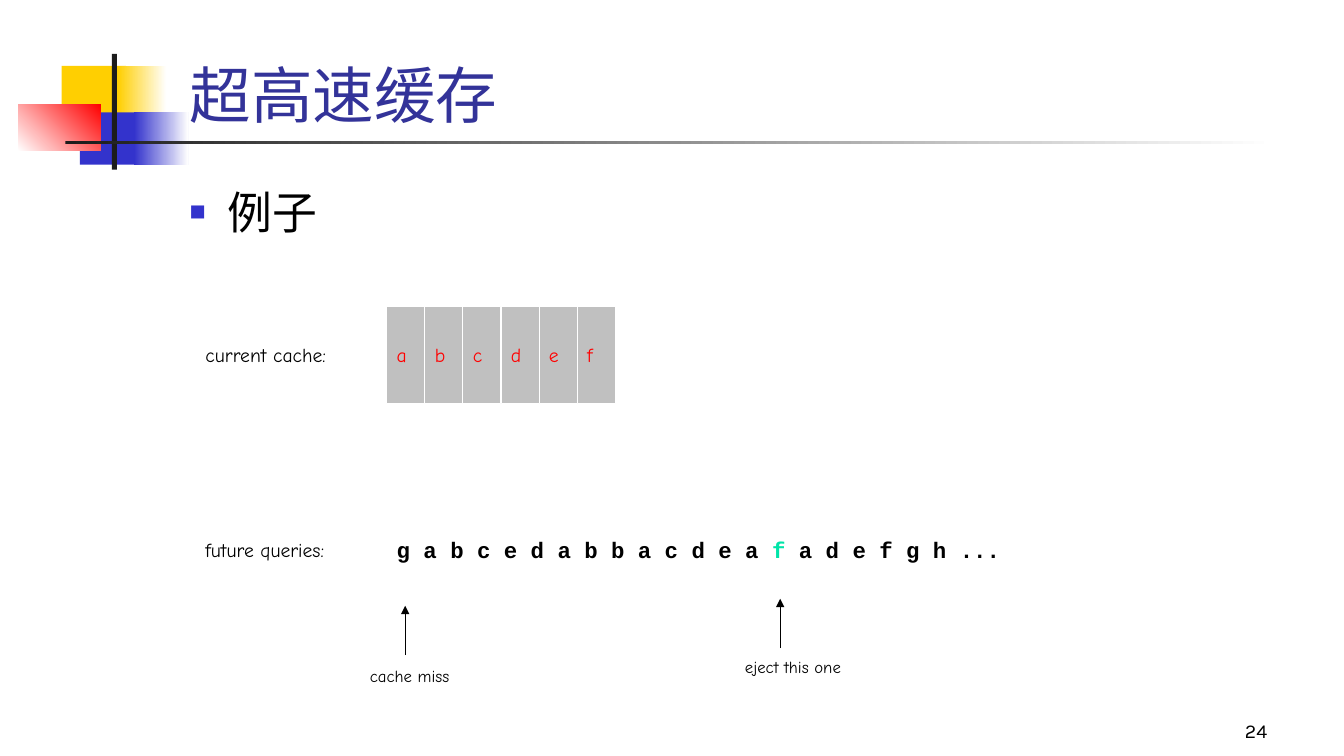
"""Build the cache eviction example slide."""
from dataclasses import dataclass
from typing import Any, Optional

from lxml.etree import SubElement
from pptx import Presentation
from pptx.dml.color import RGBColor
from pptx.enum.shapes import MSO_CONNECTOR as Connector, MSO_SHAPE as Preset
from pptx.enum.text import MSO_ANCHOR as Anchor, MSO_AUTO_SIZE as AutoSize, PP_ALIGN as Align
from pptx.oxml.ns import qn
from pptx.util import Pt

COLORS = {
    "yellow": "FFCF01", "blue": "3333CC", "red": "FF0000", "dark": "1C1C1C",
    "white": "FFFFFF", "title": "333399", "black": "000000",
    "cell": "C0C0C0", "green": "00E4A8",
}
HEADING_FONT, LABEL_FONT, CODE_FONT = "Karla", "Comic Neue", "Courier New"
BOX_FRAME = {
    "word_wrap": False, "vertical_anchor": Anchor.MIDDLE,
    "margin_left": Pt(7.2), "margin_right": Pt(7.2),
    "margin_top": Pt(3.6), "margin_bottom": Pt(3.6),
}
CAPTION_FRAME = {
    "word_wrap": False, "auto_size": AutoSize.SHAPE_TO_FIT_TEXT,
    "margin_left": 0, "margin_right": 0, "margin_top": 0, "margin_bottom": 0,
}
CACHE_LEFT, CACHE_TOP, QUERY_TOP = 276.3, 218.9, 357.8
CELL_WIDTH, ROW_HEIGHT, ARROW_LENGTH = 27.2, 69.4, 35.3


@dataclass(frozen=True)
class Area:
    left: float
    top: float
    width: float
    height: float

    def lengths(self) -> list[Pt]:
        return [Pt(value) for value in (self.left, self.top, self.width, self.height)]


@dataclass(frozen=True)
class Ornament:
    area: Area
    start: str
    end: Optional[str] = None
    angle: float = 0


@dataclass(frozen=True)
class Piece:
    text: str
    size: float
    font: str = LABEL_FONT
    color: str = "black"
    bold: bool = False


@dataclass(frozen=True)
class Box:
    area: Area
    pieces: list[Piece]
    fill: Optional[str] = None


@dataclass(frozen=True)
class Pointer:
    x: float
    tip: float
    area: Area
    caption: str


ORNAMENTS = [
    Ornament(Area(44, 47, 46, 37.4), "yellow"),
    Ornament(Area(84.2, 47, 34.6, 37.4), "yellow", "white"),
    Ornament(Area(57, 80.2, 44.6, 37.4), "blue"),
    Ornament(Area(95.8, 80.2, 38.9, 37.4), "blue", "white"),
    Ornament(Area(13, 74.4, 59, 33.1), "white", "red", 45),
    Ornament(Area(80, 38.4, 3.5, 82.8), "dark"),
    Ornament(Area(46.8, 101, 864, 2.2), "dark", "white"),
]
QUERIES = [
    Piece("g a b c e d a b b a c d e a ", 16, CODE_FONT, bold=True),
    Piece("f", 16, CODE_FONT, "green", True),
    Piece(" a d e f g h ...", 16, CODE_FONT, bold=True),
]
BOXES = [
    *(Box(Area(CACHE_LEFT + index * CELL_WIDTH, CACHE_TOP, CELL_WIDTH, ROW_HEIGHT),
          [Piece(letter, 14, color="red")], "cell")
      for index, letter in enumerate("abcdef")),
    Box(Area(CACHE_LEFT, QUERY_TOP, 538.6, ROW_HEIGHT), QUERIES),
    *(Box(Area(139.7, top, 115.9, ROW_HEIGHT), [Piece(label, 14)])
      for label, top in (("current cache:", CACHE_TOP), ("future queries:", QUERY_TOP))),
]
POINTERS = [
    Pointer(289.4, 432.7, Area(264.2, 475.2, 59.8, 14.4), "cache miss"),
    Pointer(557.3, 427.7, Area(532.1, 469.4, 77.8, 14.4), "eject this one"),
]


def rgb(name: str) -> RGBColor:
    return RGBColor.from_string(COLORS[name])


def apply(target: Any, values: dict[str, Any]) -> None:
    for name, value in values.items():
        setattr(target, name, value)


def write(shape: Any, pieces: list[Piece], frame: dict[str, Any], align: Align = Align.LEFT) -> None:
    apply(shape.text_frame, frame)
    paragraph = shape.text_frame.paragraphs[0]
    apply(paragraph, {"alignment": align, "space_before": Pt(0)})
    for piece in pieces:
        run = paragraph.add_run()
        run.text = piece.text
        apply(run.font, {"size": Pt(piece.size), "name": piece.font, "bold": piece.bold})
        run.font.color.rgb = rgb(piece.color)


def place(shape: Any, area: Area) -> None:
    apply(shape, dict(zip(("left", "top", "width", "height"), area.lengths())))


def draw_ornament(slide: Any, ornament: Ornament) -> None:
    shape = slide.shapes.add_shape(Preset.RECTANGLE, *ornament.area.lengths())
    shape.shadow.inherit = False
    shape.line.fill.background()
    if ornament.end is None:
        shape.fill.solid()
        shape.fill.fore_color.rgb = rgb(ornament.start)
        return
    shape.fill.gradient()
    shape.fill.gradient_angle = ornament.angle
    for stop, color in zip(shape.fill.gradient_stops, (ornament.start, ornament.end)):
        stop.color.rgb = rgb(color)


def draw_box(slide: Any, box: Box) -> None:
    shape = slide.shapes.add_shape(Preset.RECTANGLE, *box.area.lengths())
    shape.shadow.inherit = False
    if box.fill:
        shape.fill.solid()
        shape.fill.fore_color.rgb = rgb(box.fill)
    else:
        shape.fill.background()
    shape.line.color.rgb = rgb("white")
    shape.line.width = Pt(0.75)
    write(shape, box.pieces, BOX_FRAME)


def draw_pointer(slide: Any, pointer: Pointer) -> None:
    caption = slide.shapes.add_textbox(*pointer.area.lengths())
    write(caption, [Piece(pointer.caption, 12)], CAPTION_FRAME)
    x, tip = Pt(pointer.x), Pt(pointer.tip)
    arrow = slide.shapes.add_connector(Connector.STRAIGHT, x, tip + Pt(ARROW_LENGTH), x, tip)
    arrow.line.color.rgb = rgb("black")
    arrow.line.width = Pt(0.75)
    SubElement(arrow.line._get_or_add_ln(), qn("a:tailEnd"), type="triangle")
    SubElement(arrow._element.spPr, qn("a:effectLst"))


def add_bullet(paragraph: Any) -> None:
    properties = paragraph._p.get_or_add_pPr()
    properties.set("marL", str(int(Pt(27))))
    properties.set("indent", str(-int(Pt(27))))
    SubElement(SubElement(properties, qn("a:buClr")), qn("a:srgbClr"), val=COLORS["blue"])
    SubElement(properties, qn("a:buSzPct"), val="60000")
    SubElement(properties, qn("a:buChar"), char="■")


def main() -> None:
    presentation = Presentation()
    apply(presentation, {"slide_width": Pt(960), "slide_height": Pt(540)})
    slide = presentation.slides.add_slide(presentation.slide_layouts[1])
    for ornament in ORNAMENTS:
        draw_ornament(slide, ornament)

    title, body = slide.placeholders
    place(title, Area(128.2, 31.7, 613.4, 65.5))
    write(title, [Piece("超高速缓存", 44, HEADING_FONT, "title")],
          {"vertical_anchor": Anchor.BOTTOM, "auto_size": AutoSize.NONE})
    place(body, Area(128.2, 128.2, 612, 324))
    add_bullet(body.text_frame.paragraphs[0])
    write(body, [Piece("例子", 32, HEADING_FONT)],
          {"vertical_anchor": Anchor.TOP, "auto_size": AutoSize.NONE})

    number = slide.shapes.add_textbox(*Area(712.1, 498.2, 200.2, 36).lengths())
    write(number, [Piece("24", 14, HEADING_FONT)],
          {"word_wrap": True, "vertical_anchor": Anchor.BOTTOM}, Align.RIGHT)
    for box in BOXES:
        draw_box(slide, box)
    for pointer in POINTERS:
        draw_pointer(slide, pointer)
    presentation.save("out.pptx")


if __name__ == "__main__":
    main()
